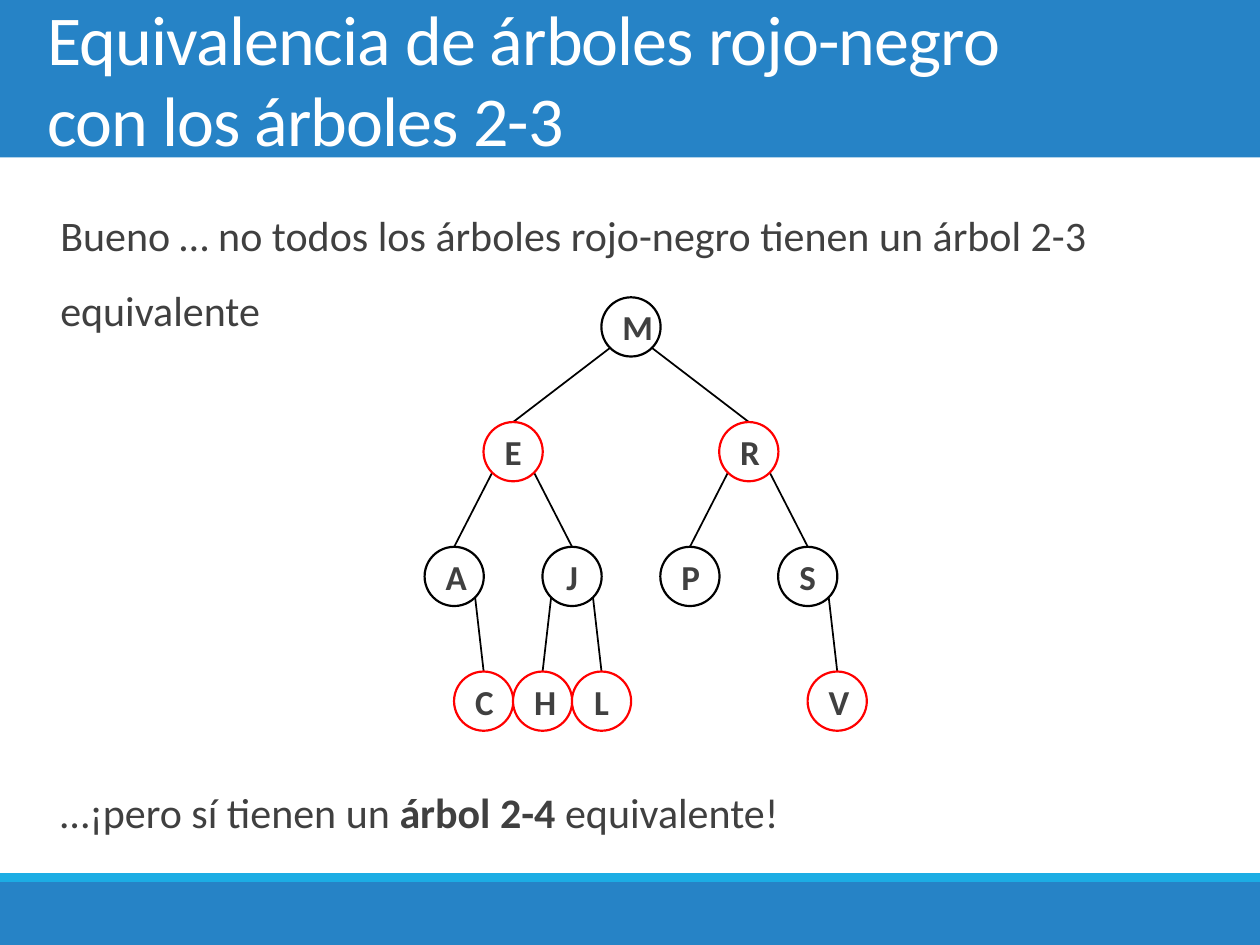
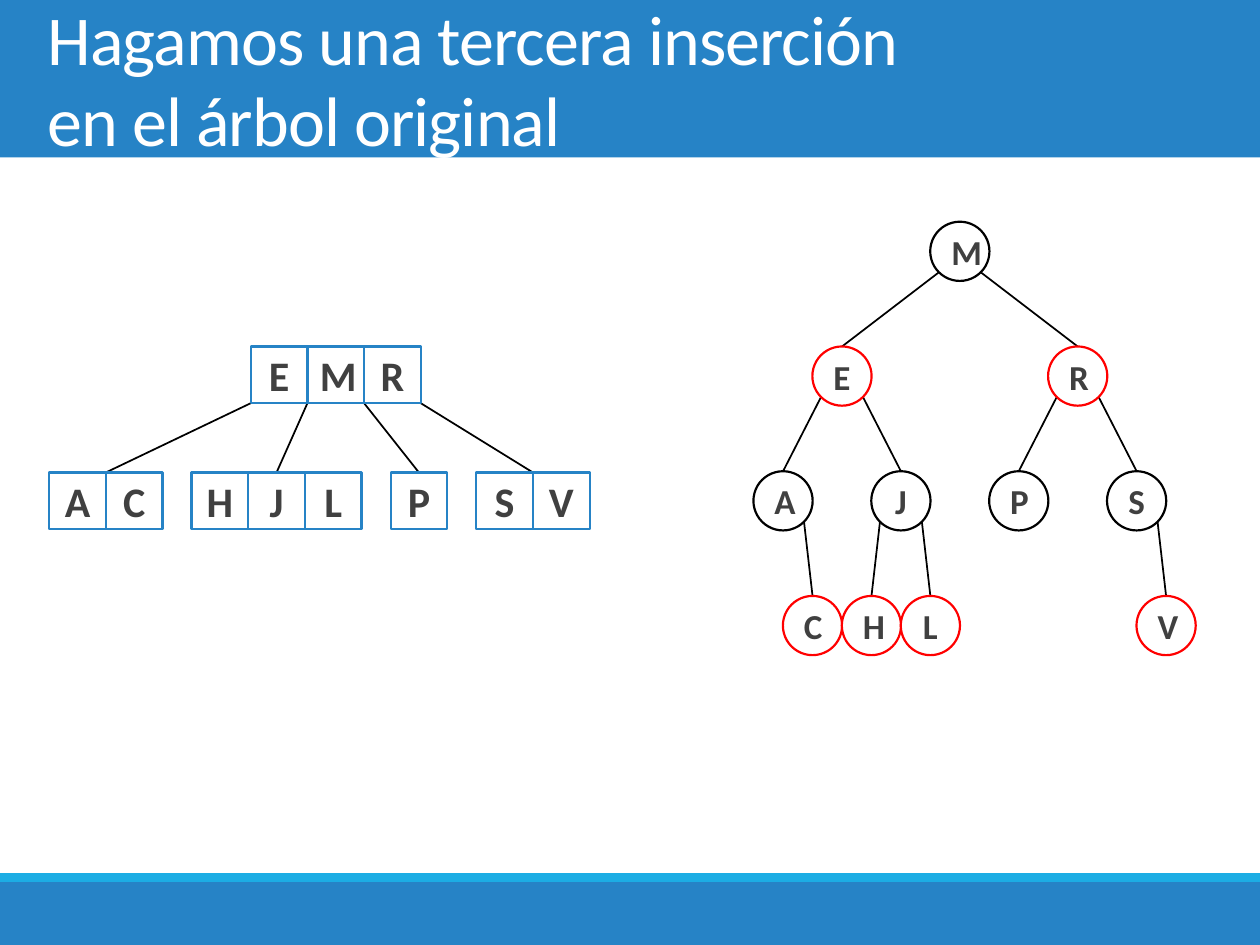
"""Build two slides on red-black trees and their 2-4 equivalents."""
from dataclasses import dataclass
from math import sqrt

from lxml.etree import SubElement
from pptx import Presentation
from pptx.dml.color import RGBColor
from pptx.enum.shapes import MSO_CONNECTOR, MSO_SHAPE
from pptx.enum.text import MSO_ANCHOR, PP_ALIGN
from pptx.oxml.ns import qn
from pptx.util import Inches, Pt


@dataclass(frozen=True)
class Theme:
    font: str = "Calibri"
    blue: str = "2683C6"
    cyan: str = "1CADE4"
    white: str = "FFFFFF"
    black: str = "000000"
    red: str = "FF0000"
    ink: str = "404040"
    title: int = 40
    body: int = 24
    node: int = 20
    edge: float = 1.25
    link: float = 1


TREE = {
    "M": (6, 0, None),
    "E": (2, 1, "M"), "R": (10, 1, "M"),
    "A": (0, 2, "E"), "J": (4, 2, "E"), "P": (8, 2, "R"), "S": (12, 2, "R"),
    "C": (1, 3, "A"), "H": (3, 3, "J"), "L": (5, 3, "J"), "V": (13, 3, "S"),
}
SIZE, STEP, DROP = 0.47, 3.04 / 13, 0.99
CELL, GAP = 0.45, 0.23


class Deck:
    def __init__(self, theme):
        self.theme = theme
        self.prs = Presentation()
        self.prs.slide_width = Inches(10)
        self.prs.slide_height = Inches(7.5)
        self.slide = None

    def start(self, *lines):
        t = self.theme
        self.slide = self.prs.slides.add_slide(self.prs.slide_layouts[6])
        for top, high, fill in ((0, 1.25, t.blue), (7, 0.5, t.blue),
                                (6.93, 0.07, t.cyan)):
            self.shape(MSO_SHAPE.RECTANGLE, 0, top, 10, high, fill)
        para = self.frame(0.28, 0, 9.45, 1.25, 0.97)
        for num, line in enumerate(lines):
            if num:
                para.add_line_break()
            run = self.run(para, line, t.title, t.white)
            run.font._element.set("spc", "-50")

    def run(self, para, text, size, color, bold=False):
        run = para.add_run()
        run.text = text
        font = run.font
        font.name, font.size, font.bold = self.theme.font, Pt(size), bold
        font.color.rgb = RGBColor.from_string(color)
        return run

    def frame(self, left, top, wide, high, space):
        box = self.slide.shapes.add_textbox(
            Inches(left), Inches(top), Inches(wide), Inches(high))
        text = box.text_frame
        text.word_wrap = True
        text.vertical_anchor = MSO_ANCHOR.TOP
        text.margin_top = text.margin_bottom = 0
        para = text.paragraphs[0]
        para.line_spacing = space
        return para

    def body(self, top, high, *parts):
        para = self.frame(0.38, top, 9.35, high, 1.5)
        for text, bold in parts:
            self.run(para, text, self.theme.body, self.theme.ink, bold)

    def shape(self, kind, left, top, wide, high, fill, edge=None, home=None):
        shapes = (home or self.slide).shapes
        shape = shapes.add_shape(
            kind, Inches(left), Inches(top), Inches(wide), Inches(high))
        shape.shadow.inherit = False
        shape.fill.solid()
        shape.fill.fore_color.rgb = RGBColor.from_string(fill)
        if edge:
            shape.line.color.rgb = RGBColor.from_string(edge)
            shape.line.width = Pt(self.theme.edge)
        else:
            shape.line.fill.background()
        return shape

    def node(self, kind, key, left, top, side, edge, size, home=None):
        t = self.theme
        shape = self.shape(kind, left, top, side, side, t.white, edge, home)
        text = shape.text_frame
        text.word_wrap = True
        text.vertical_anchor = MSO_ANCHOR.MIDDLE
        para = text.paragraphs[0]
        para.alignment = PP_ALIGN.CENTER
        self.run(para, key, size, t.ink, True)

    def link(self, start, end, home=None):
        line = (home or self.slide).shapes.add_connector(
            MSO_CONNECTOR.STRAIGHT, *map(Inches, (*start, *end)))
        line.line.color.rgb = RGBColor.from_string(self.theme.black)
        line.line.width = Pt(self.theme.link)
        SubElement(line._element.spPr, qn("a:effectLst"))

    def tree(self, left, top):
        t = self.theme
        home = self.slide.shapes.add_group_shape()
        half = SIZE / 2
        reach = half / sqrt(2)
        spots = {key: (left + col * STEP, top + row * DROP)
                 for key, (col, row, _) in TREE.items()}
        for key, (col, _, up) in TREE.items():
            if up:
                x, y = spots[key]
                px, py = spots[up]
                side = 1 if col > TREE[up][0] else -1
                start = px + half + side * reach, py + half + reach
                self.link(start, (x + half, y), home)
        for key, (x, y) in spots.items():
            edge = t.red if TREE[key][1] % 2 else t.black
            self.node(MSO_SHAPE.OVAL, key, x, y, SIZE, edge, t.node, home)

    def cells(self, keys, left, top):
        for num, key in enumerate(keys):
            self.node(MSO_SHAPE.RECTANGLE, key, left + num * CELL, top, CELL,
                      self.theme.blue, self.theme.body)

    def wide(self, root, left, top, leaves, first, low):
        spots, x = [], first
        for num, keys in enumerate(leaves):
            spots.append((keys, x))
            span = len(keys) * CELL
            self.link((left + num * CELL, top + CELL), (x + span / 2, low))
            x += span + GAP
        self.cells(root, left, top)
        for keys, x in spots:
            self.cells(keys, x, low)


def main():
    deck = Deck(Theme())

    deck.start("Equivalencia de árboles rojo-negro", "con los árboles 2-3")
    deck.body(1.46, 1.3, ("Bueno … no todos los árboles rojo-negro tienen "
                          "un árbol 2-3 equivalente", False))
    deck.body(6.04, 0.7, ("…¡pero sí tienen un ", False),
              ("árbol 2-4 ", True), ("equivalente!", False))
    deck.tree(3.37, 2.36)

    deck.start("Hagamos una tercera inserción", "en el árbol original")
    deck.wide("EMR", 1.99, 2.75, ("AC", "HJL", "P", "SV"), 0.39, 3.75)
    deck.tree(5.98, 1.76)

    deck.prs.save("out.pptx")


if __name__ == "__main__":
    main()
